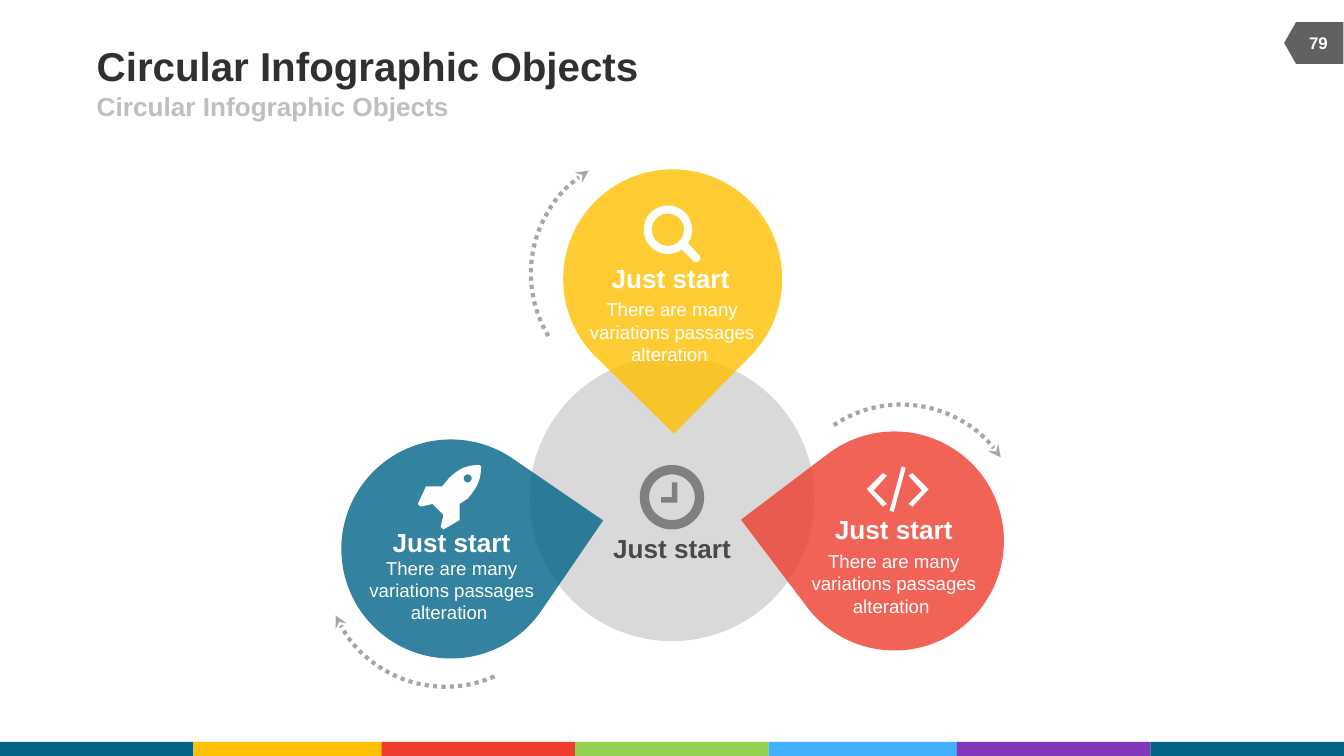
from math import cos, radians, sin

from lxml.etree import SubElement
from pptx import Presentation
from pptx.dml.color import RGBColor
from pptx.enum.dml import MSO_LINE
from pptx.enum.shapes import MSO_SHAPE
from pptx.enum.text import MSO_ANCHOR, PP_ALIGN
from pptx.oxml.ns import qn
from pptx.util import Inches, Pt

TEAL = RGBColor(0x00, 0x63, 0x87)
YELLOW = RGBColor(0xFF, 0xC0, 0x00)
RED = RGBColor(0xEE, 0x3C, 0x2E)
GREEN = RGBColor(0x92, 0xD0, 0x50)
BLUE = RGBColor(0x40, 0xAF, 0xFF)
PURPLE = RGBColor(0x82, 0x38, 0xBA)
WHITE = RGBColor(0xFF, 0xFF, 0xFF)
PALE_GRAY = RGBColor(0xD9, 0xD9, 0xD9)
SUBTITLE_GRAY = RGBColor(0xBF, 0xBF, 0xBF)
ARROW_GRAY = RGBColor(0xA6, 0xA6, 0xA6)
CLOCK_GRAY = RGBColor(0x80, 0x80, 0x80)
TAB_GRAY = RGBColor(0x61, 0x61, 0x61)
LABEL_GRAY = RGBColor(0x49, 0x49, 0x49)
TITLE_GRAY = RGBColor(0x30, 0x30, 0x30)

TITLE = "Circular Infographic Objects"
HEADING = "Just start"
DETAIL = "There are many variations passages alteration "
PAGE_NUMBER = "79"

FOOTER = [(0, TEAL), (1.44, YELLOW), (2.84, RED), (4.28, GREEN),
          (5.72, BLUE), (7.12, PURPLE), (8.56, TEAL)]

DROP_SIZE = 1.63
ARC_SIZE = 1.79
DROPS = [
    {"color": RED, "drop": (5.84, 3.21, 232.9), "arc": (5.81, 3.01, 325.9),
     "heading": (6.21, 3.82), "detail": (5.93, 4.09)},
    {"color": TEAL, "drop": (2.54, 3.27, 34.4), "arc": (2.42, 3.32, 156.1),
     "heading": (2.92, 3.92), "detail": (2.64, 4.14)},
    {"color": YELLOW, "drop": (4.19, 1.26, 134.5), "arc": (3.95, 1.14, 238.7),
     "heading": (4.55, 1.95), "detail": (4.28, 2.22)},
]


def arc_points(center_x, center_y, radius, start=0, end=360, steps=48):
    angles = [radians(start + (end - start) * i / steps) for i in range(steps + 1)]
    return [(center_x + radius * cos(a), center_y + radius * sin(a)) for a in angles]


def curve_points(first, second, third, fourth, steps=12):
    points = []
    for i in range(steps + 1):
        t = i / steps
        weights = ((1 - t) ** 3, 3 * t * (1 - t) ** 2, 3 * t * t * (1 - t), t ** 3)
        points.append(tuple(sum(w * p[axis] for w, p in
                                zip(weights, (first, second, third, fourth)))
                            for axis in (0, 1)))
    return points


LEFT_BRACKET = [(6.45, 3.64), (6.57, 3.52), (6.6, 3.54),
                (6.5, 3.65), (6.6, 3.75), (6.57, 3.77)]
ICONS = [
    (WHITE, [
        arc_points(4.97, 1.71, 0.18, 55, 394)
        + arc_points(5.18, 1.92, 0.03, -45, 135, 12),
        arc_points(4.97, 1.71, 0.12),
    ]),
    (WHITE, [
        curve_points((3.34, 3.56), (3.41, 3.49), (3.47, 3.46), (3.57, 3.46))
        + curve_points((3.58, 3.47), (3.58, 3.57), (3.55, 3.63), (3.48, 3.71))
        + [(3.42, 3.75), (3.42, 3.87), (3.3, 3.94), (3.28, 3.92), (3.3, 3.83),
           (3.22, 3.75), (3.13, 3.77), (3.11, 3.75), (3.17, 3.62), (3.29, 3.62)],
        arc_points(3.48, 3.56, 0.03),
    ]),
    (WHITE, [
        LEFT_BRACKET,
        [(6.62, 3.8), (6.71, 3.47), (6.74, 3.48), (6.65, 3.81)],
        [(13.36 - x, y) for x, y in LEFT_BRACKET],
    ]),
    (CLOCK_GRAY, [
        arc_points(5, 3.7, 0.24),
        arc_points(5, 3.7, 0.17),
        [(5, 3.59), (5.04, 3.59), (5.04, 3.74), (4.92, 3.74), (4.92, 3.7), (5, 3.7)],
    ]),
]


def paint(shape, color, opacity=100):
    shape.shadow.inherit = False
    shape.line.fill.background()
    shape.fill.solid()
    shape.fill.fore_color.rgb = color
    if opacity < 100:
        color_element = shape.fill._xPr.find(qn("a:solidFill"))[0]
        SubElement(color_element, qn("a:alpha"), val=str(opacity * 1000))


def add_shape(slide, preset, box, color, rotation=0, opacity=100):
    shape = slide.shapes.add_shape(preset, *map(Inches, box))
    shape.rotation = rotation
    paint(shape, color, opacity)


def add_text(slide, text, box, size, color, bold=True, align=PP_ALIGN.CENTER,
             anchor=MSO_ANCHOR.TOP, wrap=True):
    frame = slide.shapes.add_textbox(*map(Inches, box)).text_frame
    frame.margin_left = frame.margin_right = frame.margin_top = frame.margin_bottom = 0
    frame.word_wrap = wrap
    frame.vertical_anchor = anchor
    frame.text = text
    paragraph = frame.paragraphs[0]
    paragraph.alignment = align
    font = paragraph.runs[0].font
    font.name = "Arial"
    font.size = Pt(size)
    font.bold = bold
    font.color.rgb = color


def add_arc_arrow(slide, left, top, rotation):
    arc = slide.shapes.add_shape(MSO_SHAPE.ARC, Inches(left), Inches(top),
                                 Inches(ARC_SIZE), Inches(ARC_SIZE))
    arc.rotation = rotation
    arc.shadow.inherit = False
    arc.fill.background()
    arc.line.color.rgb = ARROW_GRAY
    arc.line.width = Pt(2.25)
    arc.line.dash_style = MSO_LINE.ROUND_DOT
    SubElement(arc.line._get_or_add_ln(), qn("a:tailEnd"), type="stealth")


def add_icon(slide, color, outlines):
    contours = [[(Inches(x), Inches(y)) for x, y in outline] for outline in outlines]
    builder = slide.shapes.build_freeform(*contours[0][0])
    builder.add_line_segments(contours[0][1:], close=True)
    for contour in contours[1:]:
        builder.move_to(*contour[0])
        builder.add_line_segments(contour[1:], close=True)
    paint(builder.convert_to_shape(), color)


def main():
    presentation = Presentation()
    presentation.slide_width = Inches(10)
    presentation.slide_height = Inches(10) * 9 // 16
    slide = presentation.slides.add_slide(presentation.slide_layouts[6])

    for left, color in FOOTER:
        add_shape(slide, MSO_SHAPE.RECTANGLE, (left, 5.52, 1.44, 0.11), color)
    add_shape(slide, MSO_SHAPE.FLOWCHART_OFFPAGE_CONNECTOR,
              (9.62, 0.1, 0.31, 0.44), TAB_GRAY, rotation=90)
    add_shape(slide, MSO_SHAPE.OVAL, (3.94, 2.65, 2.12, 2.12), PALE_GRAY)
    for item in DROPS:
        left, top, rotation = item["drop"]
        add_shape(slide, MSO_SHAPE.TEAR, (left, top, DROP_SIZE, DROP_SIZE),
                  item["color"], rotation, opacity=80)

    add_text(slide, TITLE, (0.72, 0.29, 6.17, 0.39), 21.6, TITLE_GRAY,
             align=PP_ALIGN.LEFT, anchor=MSO_ANCHOR.MIDDLE)
    add_text(slide, TITLE, (0.72, 0.68, 4.5, 0.22), 14, SUBTITLE_GRAY,
             align=PP_ALIGN.LEFT, anchor=MSO_ANCHOR.MIDDLE)
    add_text(slide, PAGE_NUMBER, (9.6, 0.17, 0.42, 0.3), 9, WHITE,
             anchor=MSO_ANCHOR.MIDDLE)
    for item in DROPS:
        add_text(slide, DETAIL, (*item["detail"], 1.44, 0.5), 10, WHITE, bold=False)
        add_text(slide, HEADING, (*item["heading"], 0.88, 0.24), 14, WHITE, wrap=False)
    add_text(slide, HEADING, (4.56, 3.96, 0.88, 0.24), 14, LABEL_GRAY, wrap=False)

    for item in DROPS:
        add_arc_arrow(slide, *item["arc"])
    for color, outlines in ICONS:
        add_icon(slide, color, outlines)

    presentation.save("out.pptx")


if __name__ == "__main__":
    main()
